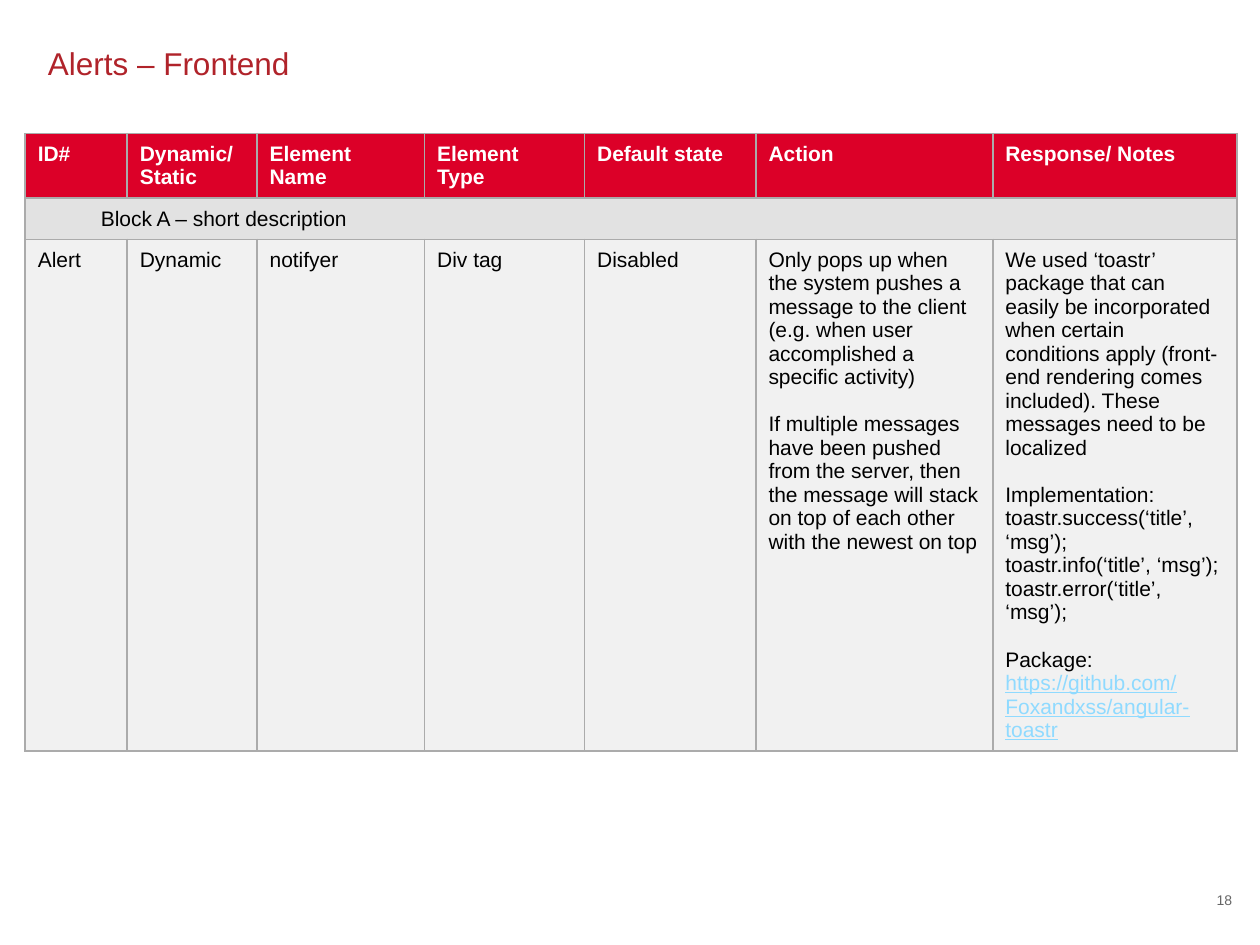
from dataclasses import dataclass

from lxml.etree import SubElement
from pptx import Presentation
from pptx.dml.color import RGBColor
from pptx.enum.text import MSO_ANCHOR, PP_ALIGN
from pptx.oxml.ns import qn
from pptx.util import Inches, Pt


@dataclass(frozen=True)
class Theme:
    font: str = "Arial"
    title: str = "B0232A"
    head: str = "DC0028"
    band: str = "E2E2E2"
    body: str = "F1F1F1"
    rule: str = "ABABAB"
    ink: str = "000000"
    white: str = "FFFFFF"
    link: str = "8FDAFF"
    muted: str = "666666"
    title_size: float = 18
    text_size: float = 12
    page_size: float = 8
    gap: float = 13.5


THEME = Theme()
LINK = "https://github.com/Foxandxss/angular-toastr"
COLS = [0.81, 1.03, 1.33, 1.27, 1.36, 1.88, 1.94]
ROWS = [0.51, 0.32, 4.06]
HEADS = ["ID#", "Dynamic/Static", "Element Name", "Element Type",
         "Default state", "Action", "Response/ Notes"]
BAND = "Block A – short description"
# Each cell is a list of groups, set apart by a gap; a group is a list of paragraphs.
ALERT = [
    [["Alert"]], [["Dynamic"]], [["notifyer"]], [["Div tag"]], [["Disabled"]],
    [["Only pops up when the system pushes a message to the client "
      "(e.g. when user accomplished a specific activity)"],
     ["If multiple messages have been pushed from the server, then the "
      "message will stack on top of each other with the newest on top"]],
    [["We used ‘toastr’ package that can easily be incorporated when certain "
      "conditions apply (front-end rendering comes included). "
      "These messages need to be localized"],
     ["Implementation:", "toastr.success(‘title’, ‘msg’);",
      "toastr.info(‘title’, ‘msg’);", "toastr.error(‘title’, ‘msg’);"],
     ["Package:", LINK]],
]


def write(para, text, size=THEME.text_size, color=THEME.ink, bold=False,
          underline=False, align=PP_ALIGN.LEFT, before=0):
    para.alignment = align
    para.space_before = Pt(before)
    run = para.add_run()
    run.text = text
    font = run.font
    font.name, font.size = THEME.font, Pt(size)
    font.bold, font.underline = bold, underline
    font.color.rgb = RGBColor.from_string(color)


def style(cell, fill):
    """Set the margins, borders and fill of a table cell."""
    cell.margin_left = cell.margin_right = Inches(0.1)
    cell.margin_top = cell.margin_bottom = Inches(0.07)
    props = cell._tc.get_or_add_tcPr()
    for side in ("lnL", "lnR", "lnT", "lnB"):
        line = SubElement(props, qn(f"a:{side}"), w=str(Pt(1)))
        SubElement(SubElement(line, qn("a:solidFill")), qn("a:srgbClr"), val=THEME.rule)
    cell.fill.solid()
    cell.fill.fore_color.rgb = RGBColor.from_string(fill)


def fill_cell(cell, groups):
    frame = cell.text_frame
    for i, group in enumerate(groups):
        for j, text in enumerate(group):
            para = frame.add_paragraph() if i or j else frame.paragraphs[0]
            is_link = text == LINK
            write(para, text, color=THEME.link if is_link else THEME.ink,
                  underline=is_link, before=THEME.gap if i and not j else 0)


def add_title(slide, left, top, width, height):
    title = slide.shapes.title
    title.left, title.top, title.width, title.height = left, top, width, height
    frame = title.text_frame
    frame.vertical_anchor = MSO_ANCHOR.TOP
    write(frame.paragraphs[0], "Alerts – Frontend", size=THEME.title_size,
          color=THEME.title)


def add_alerts(slide, left, top, width, height):
    table = slide.shapes.add_table(len(ROWS), len(COLS), left, top, width, height).table
    table.horz_banding = False
    for col, size in zip(table.columns, COLS):
        col.width = Inches(size)
    fills = (THEME.head, THEME.band, THEME.body)
    for row, size, fill in zip(table.rows, ROWS, fills):
        row.height = Inches(size)
        for cell in row.cells:
            style(cell, fill)
    for i, (head, groups) in enumerate(zip(HEADS, ALERT)):
        write(table.cell(0, i).text_frame.paragraphs[0], head,
              color=THEME.white, bold=True)
        fill_cell(table.cell(2, i), groups)
    band = table.cell(1, 0)
    band.merge(table.cell(1, len(COLS) - 1))
    band.vertical_anchor = MSO_ANCHOR.MIDDLE
    para = band.text_frame.paragraphs[0]
    para.level = 1
    props = para._p.get_or_add_pPr()
    props.set("marL", str(Inches(0.5)))
    props.set("indent", "0")
    write(para, BAND)


def add_page(slide, left, top, width, height):
    frame = slide.shapes.add_textbox(left, top, width, height).text_frame
    frame.word_wrap = True
    frame.margin_left = frame.margin_right = frame.margin_top = frame.margin_bottom = 0
    frame.vertical_anchor = MSO_ANCHOR.MIDDLE
    write(frame.paragraphs[0], "18", size=THEME.page_size, color=THEME.muted,
          align=PP_ALIGN.RIGHT)


def main():
    deck = Presentation()
    deck.slide_width, deck.slide_height = Inches(10), Inches(7.5)
    slide = deck.slides.add_slide(deck.slide_layouts[5])
    add_title(slide, Inches(0.28), Inches(0.3), Inches(9.37), Inches(0.54))
    add_alerts(slide, Inches(0.2), Inches(1.06), Inches(sum(COLS)), Inches(sum(ROWS)))
    add_page(slide, Inches(9.43), Inches(7.06), Inches(0.35), Inches(0.16))
    deck.save("out.pptx")


if __name__ == "__main__":
    main()
